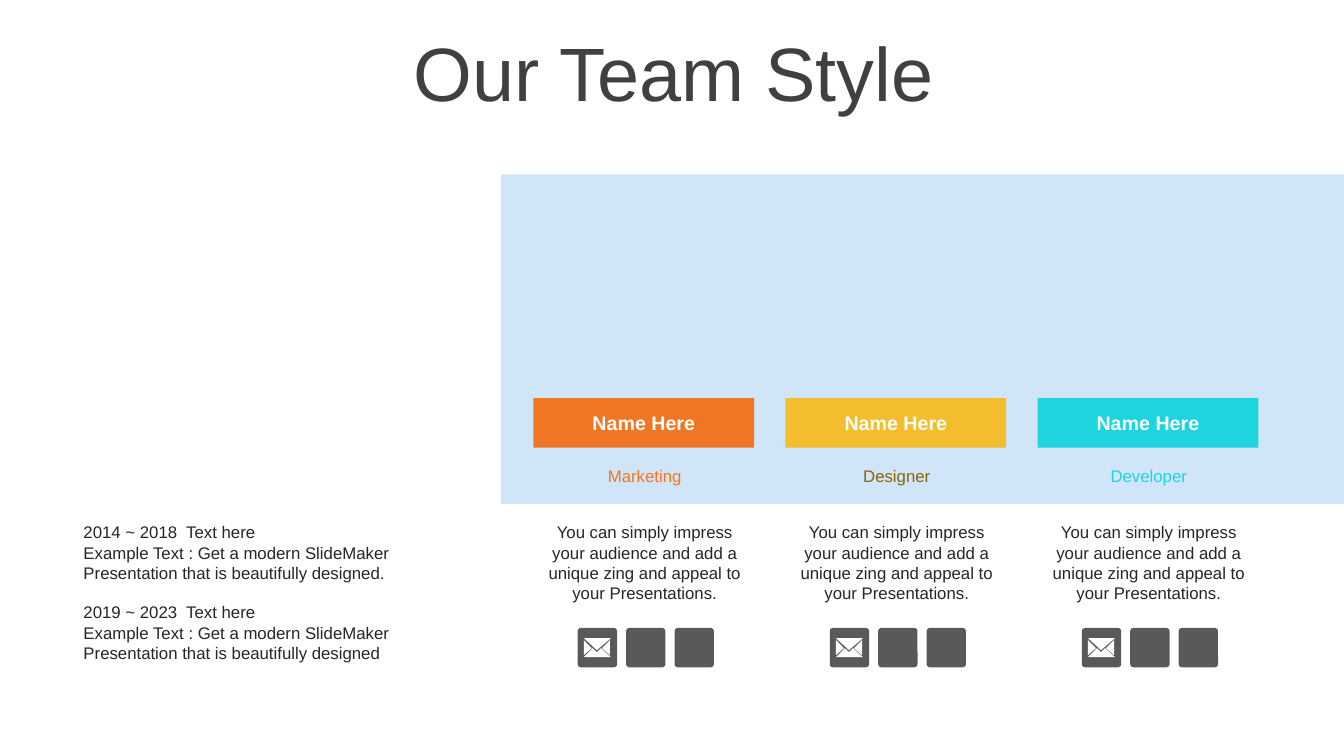
"""Build the "Our Team Style" slide with three team member columns."""
from pptx import Presentation, util as u
from pptx.dml.color import RGBColor
from pptx.enum import shapes, text

WHITE = RGBColor(0xFF, 0xFF, 0xFF)
PALE_BLUE = RGBColor(0xD1, 0xE5, 0xF9)
ORANGE = RGBColor(0xF0, 0x76, 0x24)
YELLOW = RGBColor(0xF4, 0xBD, 0x2D)
BROWN = RGBColor(0x89, 0x65, 0x07)
CYAN = RGBColor(0x1E, 0xD4, 0xDE)
TITLE_GREY = RGBColor(0x40, 0x40, 0x40)
BODY_GREY = RGBColor(0x26, 0x26, 0x26)
ICON_GREY = RGBColor(0x59, 0x59, 0x59)

CENTER, LEFT = text.PP_ALIGN.CENTER, text.PP_ALIGN.LEFT
TOP, MIDDLE = text.MSO_ANCHOR.TOP, text.MSO_ANCHOR.MIDDLE
RECTANGLE = shapes.MSO_SHAPE.RECTANGLE
ROUNDED = shapes.MSO_SHAPE.ROUNDED_RECTANGLE

MEMBERS = [
    ("Marketing", ORANGE, ORANGE),
    ("Designer", YELLOW, BROWN),
    ("Developer", CYAN, CYAN),
]
DESCRIPTION = ("You can simply impress your audience and add a unique zing "
               "and appeal to your Presentations.")
HISTORY = [
    "2014 ~ 2018  Text here",
    "Example Text : Get a modern SlideMaker Presentation that is beautifully designed.",
    "2019 ~ 2023  Text here",
    "Example Text : Get a modern SlideMaker Presentation that is beautifully designed",
]
ENVELOPE = [
    [(6, 10), (19, 22), (33, 10)],
    [(6, 12), (6, 27), (14, 20)],
    [(32, 12), (24, 20), (32, 27)],
    [(23, 20), (19, 24), (15, 20), (6, 29), (33, 29)],
]
COLUMN_LEFT, COLUMN_STEP = 5.29, 2.5
ICON_TOP, ICON_SIZE, ICON_STEP = 6.23, 0.39, 0.48


def paint(shape, color):
    shape.shadow.inherit = False
    shape.fill.solid()
    shape.fill.fore_color.rgb = color
    shape.line.fill.background()
    return shape


def write(box, lines, size, color, align=CENTER, anchor=MIDDLE, bold=False):
    frame = box.text_frame
    frame.word_wrap = True
    frame.vertical_anchor = anchor
    frame.text = "\n".join(lines)
    style = {"name": "Arial", "size": u.Pt(size), "bold": bold}
    for para in frame.paragraphs:
        para.alignment = align
        for name, value in style.items():
            setattr(para.font, name, value)
        para.font.color.rgb = color
    return frame.paragraphs


deck = Presentation()
deck.slide_width, deck.slide_height = u.Inches(13.33), u.Inches(7.5)
page = deck.slides.add_slide(deck.slide_layouts[6])

panel = page.shapes.add_shape(
    RECTANGLE, u.Inches(4.97), u.Inches(1.73), u.Inches(8.36), u.Inches(3.27))
paint(panel, PALE_BLUE)

title = page.shapes.add_textbox(
    u.Inches(0.35), u.Inches(0.37), u.Inches(12.66), u.Inches(0.79))
write(title, ["Our Team Style"], 54, TITLE_GREY)[0].line_spacing = 0.9

for column, (role, bar_color, role_color) in enumerate(MEMBERS):
    left = COLUMN_LEFT + column * COLUMN_STEP

    bar = page.shapes.add_shape(
        RECTANGLE, u.Inches(left), u.Inches(3.95), u.Inches(2.19), u.Inches(0.49))
    write(paint(bar, bar_color), ["Name Here"], 14, WHITE, bold=True)

    role_box = page.shapes.add_textbox(
        u.Inches(left + 0.02), u.Inches(4.54), u.Inches(2.17), u.Inches(0.35))
    write(role_box, [role], 12, role_color)

    description_box = page.shapes.add_textbox(
        u.Inches(left + 0.02), u.Inches(5.13), u.Inches(2.17), u.Inches(0.91))
    write(description_box, [DESCRIPTION], 12, BODY_GREY, anchor=TOP)

    icon_left = left + 0.44
    for slot in range(3):
        tile = page.shapes.add_shape(
            ROUNDED, u.Inches(icon_left + slot * ICON_STEP), u.Inches(ICON_TOP),
            u.Inches(ICON_SIZE), u.Inches(ICON_SIZE))
        tile.adjustments[0] = 0.08
        paint(tile, ICON_GREY)

    outline = page.shapes.build_freeform(*ENVELOPE[0][0], scale=u.Inches(0.01))
    outline.add_line_segments(ENVELOPE[0][1:], close=True)
    for start, *corners in ENVELOPE[1:]:
        outline.move_to(*start)
        outline.add_line_segments(corners, close=True)
    envelope = outline.convert_to_shape(u.Inches(icon_left), u.Inches(ICON_TOP))
    paint(envelope, WHITE)

history_box = page.shapes.add_textbox(
    u.Inches(0.73), u.Inches(5.13), u.Inches(3.73), u.Inches(1.51))
history = write(history_box, HISTORY, 12, BODY_GREY, align=LEFT, anchor=TOP)
history[2].space_before = u.Pt(14)

deck.save("out.pptx")
